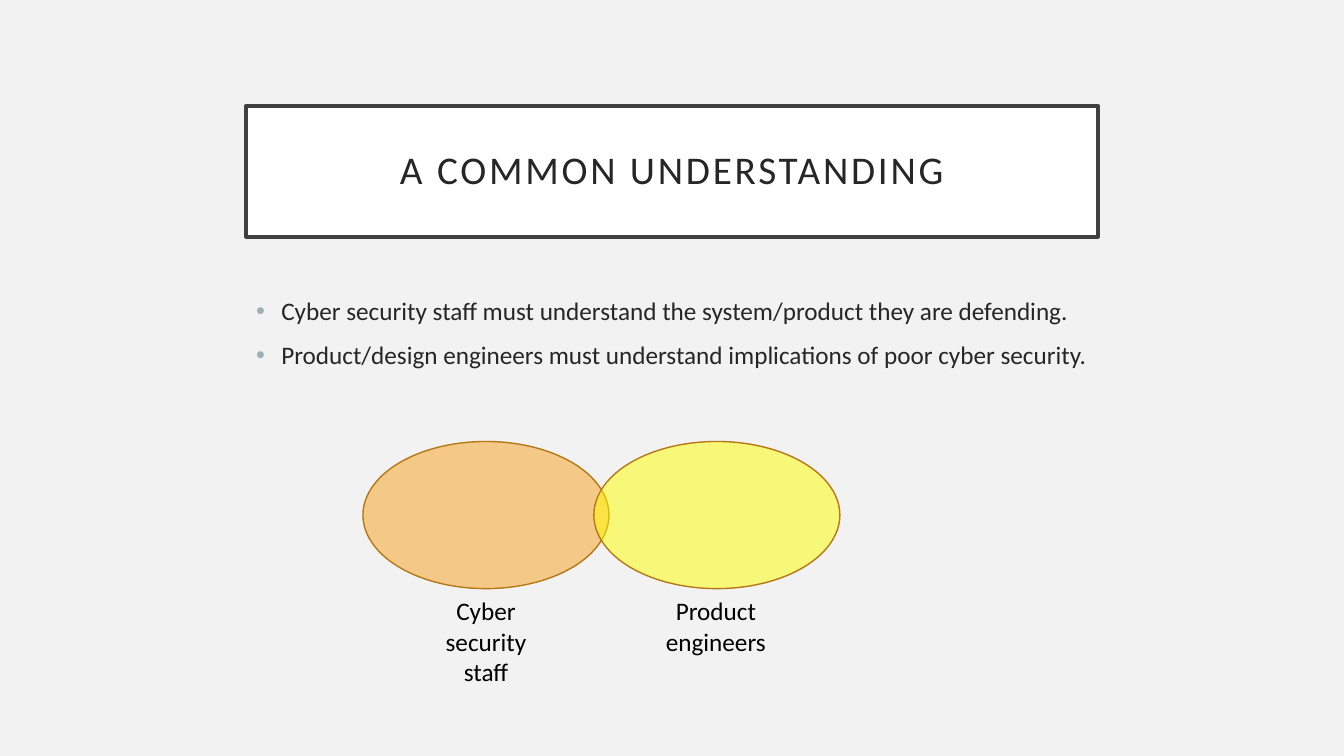
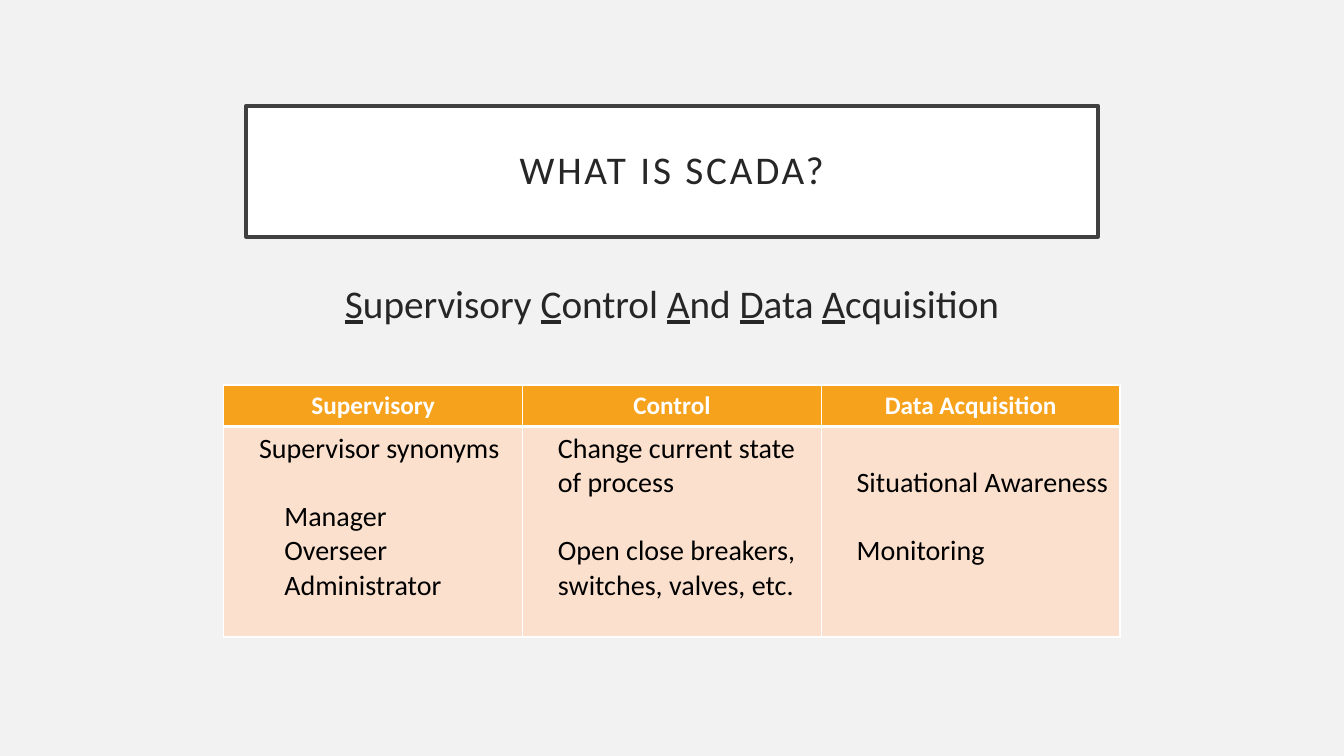
"""Build two slides on cyber security and SCADA."""
from dataclasses import dataclass

from lxml.etree import SubElement
from pptx import Presentation
from pptx.dml.color import RGBColor
from pptx.enum.shapes import MSO_SHAPE
from pptx.enum.text import MSO_ANCHOR, MSO_AUTO_SIZE, PP_ALIGN
from pptx.oxml.ns import qn
from pptx.util import Emu, Pt


@dataclass(frozen=True)
class Theme:
    font: str = "Calibri"
    page: str = "F2F2F2"
    white: str = "FFFFFF"
    frame: str = "404040"
    text: str = "262626"
    black: str = "000000"
    bullet: str = "9BAFB5"
    orange: str = "F6A21D"
    yellow: str = "FFFF00"
    outline: str = "B67815"
    cell: str = "FBE0CD"
    title_size: int = 28
    cell_size: int = 20
    text_size: int = 18
    list_gap: int = 10
    blank_line: float = 24.4


THEME = Theme()
EMU_PER_PX = 9144
LEFT, CONTENT_WIDTH = 244, 845
INDENT = 25


def px(length):
    return Emu(length * EMU_PER_PX)


def rgb(color):
    return RGBColor.from_string(color)


def place(shape, left, top, width, height):
    shape.left, shape.top = px(left), px(top)
    shape.width, shape.height = px(width), px(height)


def paint(shape, fill, line, line_width):
    shape.fill.solid()
    shape.fill.fore_color.rgb = rgb(fill)
    shape.line.color.rgb = rgb(line)
    shape.line.width = Pt(line_width)


def style(para, size, color, align=PP_ALIGN.LEFT, bold=False, before=0):
    para.alignment = align
    para.space_before = Pt(before)
    para.font.name = THEME.font
    para.font.size = Pt(size)
    para.font.bold = bold
    para.font.color.rgb = rgb(color)


def indent(para, margin, first_line=0, bullet=None):
    properties = para._p.get_or_add_pPr()
    properties.set("marL", str(px(margin)))
    properties.set("indent", str(px(first_line)))
    if bullet:
        color = SubElement(properties, qn("a:buClr"))
        SubElement(color, qn("a:srgbClr"), val=THEME.bullet)
        SubElement(properties, qn("a:buChar"), char=bullet)
    else:
        SubElement(properties, qn("a:buNone"))


def paragraphs(frame, count):
    return [frame.paragraphs[0]] + [frame.add_paragraph() for _ in range(count - 1)]


def add_page(deck, heading, body_top, body_height):
    page = deck.slides.add_slide(deck.slide_layouts[1])
    title, body = page.placeholders
    place(title, LEFT, 105, CONTENT_WIDTH, 130)
    paint(title, THEME.white, THEME.frame, 2.5)
    frame = title.text_frame
    frame.text = heading
    frame.vertical_anchor = MSO_ANCHOR.MIDDLE
    frame.auto_size = MSO_AUTO_SIZE.NONE
    frame.margin_left = frame.margin_right = px(20)
    frame.margin_top = frame.margin_bottom = px(20)
    para = frame.paragraphs[0]
    style(para, THEME.title_size, THEME.text, PP_ALIGN.CENTER)
    para.line_spacing = 0.9
    para._p.get_or_add_pPr().get_or_add_defRPr().set("spc", "200")
    place(body, LEFT, body_top, CONTENT_WIDTH, body_height)
    body.text_frame.auto_size = MSO_AUTO_SIZE.NONE
    return page, body.text_frame


def write_list(frame, items):
    for number, (para, item) in enumerate(zip(paragraphs(frame, len(items)), items)):
        para.text = item
        indent(para, INDENT, -INDENT, "•")
        style(para, THEME.text_size, THEME.text, before=THEME.list_gap if number else 0)


def write_acronym(frame, words):
    para = frame.paragraphs[0]
    indent(para, 0)
    style(para, THEME.title_size, THEME.text, PP_ALIGN.CENTER)
    for number, word in enumerate(words):
        initial = para.add_run()
        initial.text = word[0]
        initial.font.underline = True
        para.add_run().text = word[1:] + (" " if number < len(words) - 1 else "")


def add_ellipse(page, left, fill):
    ellipse = page.shapes.add_shape(MSO_SHAPE.OVAL, px(left), px(438), px(244), px(146))
    ellipse.shadow.inherit = False
    paint(ellipse, fill, THEME.outline, 1)
    color = ellipse._element.spPr.find(qn("a:solidFill"))[0]
    SubElement(color, qn("a:alpha"), val="50000")


def add_label(page, left, height, lines):
    box = page.shapes.add_textbox(px(left), px(586), px(162), px(height))
    frame = box.text_frame
    frame.word_wrap = True
    frame.auto_size = MSO_AUTO_SIZE.SHAPE_TO_FIT_TEXT
    for para, line in zip(paragraphs(frame, len(lines)), lines):
        para.text = line
        style(para, THEME.text_size, THEME.black, PP_ALIGN.CENTER)


def dress_cell(cell, fill, top, bottom):
    properties = cell._tc.get_or_add_tcPr()
    for side, width in (("L", 1), ("R", 1), ("T", top), ("B", bottom)):
        border = SubElement(properties, qn(f"a:ln{side}"), w=str(Pt(width)))
        SubElement(SubElement(border, qn("a:solidFill")), qn("a:srgbClr"), val=THEME.white)
    cell.fill.solid()
    cell.fill.fore_color.rgb = rgb(fill)


def add_term_table(page, terms):
    shape = page.shapes.add_table(2, len(terms), px(222), px(382), px(889), px(250))
    table = shape.table
    table.first_row = table.horz_banding = False
    table.rows[0].height, table.rows[1].height = px(41), px(209)
    for column, (heading, lines) in enumerate(terms):
        header, cell = table.cell(0, column), table.cell(1, column)
        dress_cell(header, THEME.orange, 1, 3)
        dress_cell(cell, THEME.cell, 3, 1)
        header.text = heading
        style(header.text_frame.paragraphs[0], THEME.text_size, THEME.white,
              PP_ALIGN.CENTER, bold=True)
        if lines[0][2]:
            cell.margin_top = px(5) + Pt(THEME.blank_line)
        entries = zip(paragraphs(cell.text_frame, len(lines)), lines)
        for number, (para, (text, level, gap)) in enumerate(entries):
            para.text = text
            para.level = level
            indent(para, INDENT * level)
            style(para, THEME.cell_size, THEME.black,
                  before=THEME.blank_line if gap and number else 0)


def build_understanding(deck):
    page, body = add_page(deck, "A COMMON UNDERSTANDING", 288, 339)
    write_list(body, [
        "Cyber security staff must understand the system/product they are defending.",
        "Product/design engineers must understand implications of poor cyber security.",
    ])
    add_ellipse(page, 360, THEME.orange)
    add_ellipse(page, 589, THEME.yellow)
    add_label(page, 401, 101, ["Cyber security", "staff"])
    add_label(page, 629, 71, ["Product engineers"])


def build_scada(deck):
    page, body = add_page(deck, "WHAT IS SCADA?", 272, 450)
    write_acronym(body, ["Supervisory", "Control", "And", "Data", "Acquisition"])
    add_term_table(page, [
        ("Supervisory", [
            ("Supervisor synonyms", 1, False),
            ("Manager", 2, True),
            ("Overseer", 2, False),
            ("Administrator", 2, False),
        ]),
        ("Control", [
            ("Change current state of process", 1, False),
            ("Open close breakers, switches, valves, etc.", 1, True),
        ]),
        ("Data Acquisition", [
            ("Situational Awareness", 1, True),
            ("Monitoring", 1, True),
        ]),
    ])


def main():
    deck = Presentation()
    deck.slide_width, deck.slide_height = px(1333), px(750)
    background = deck.slide_master.background.fill
    background.solid()
    background.fore_color.rgb = rgb(THEME.page)
    build_understanding(deck)
    build_scada(deck)
    deck.save("out.pptx")


if __name__ == "__main__":
    main()
